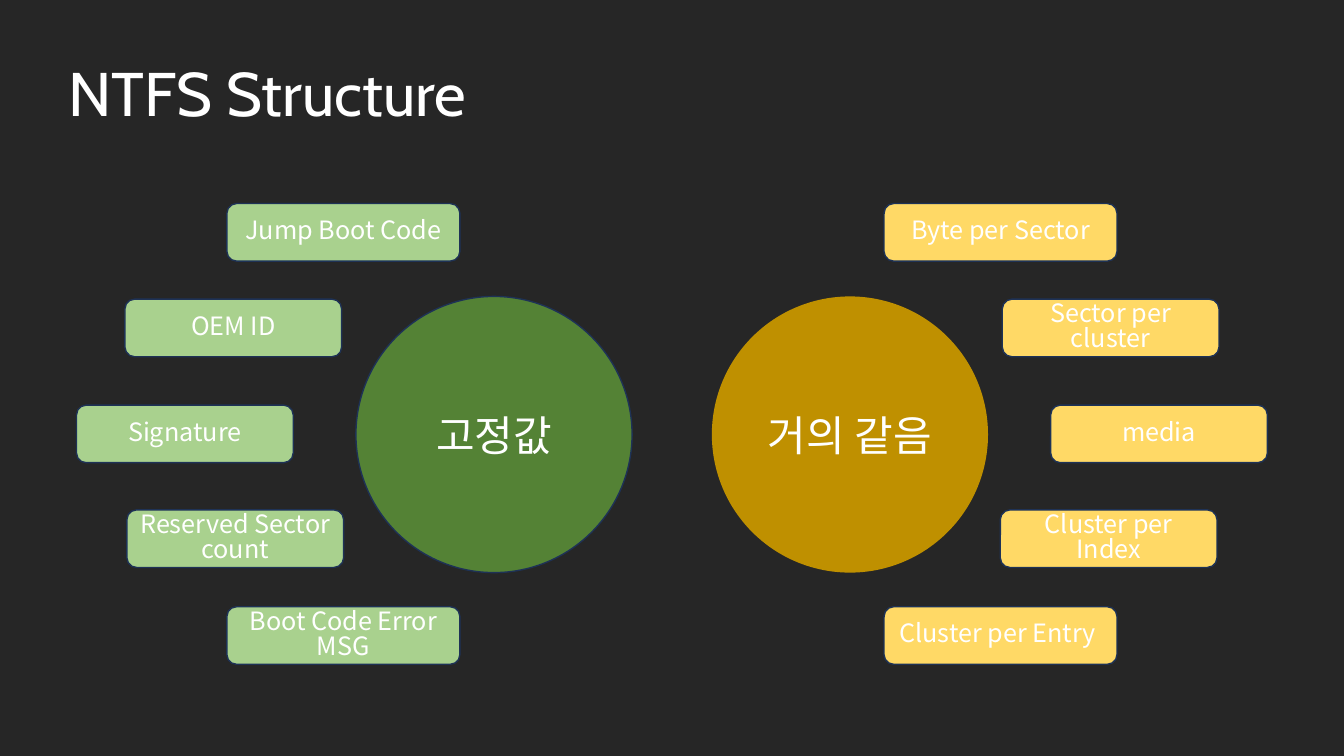
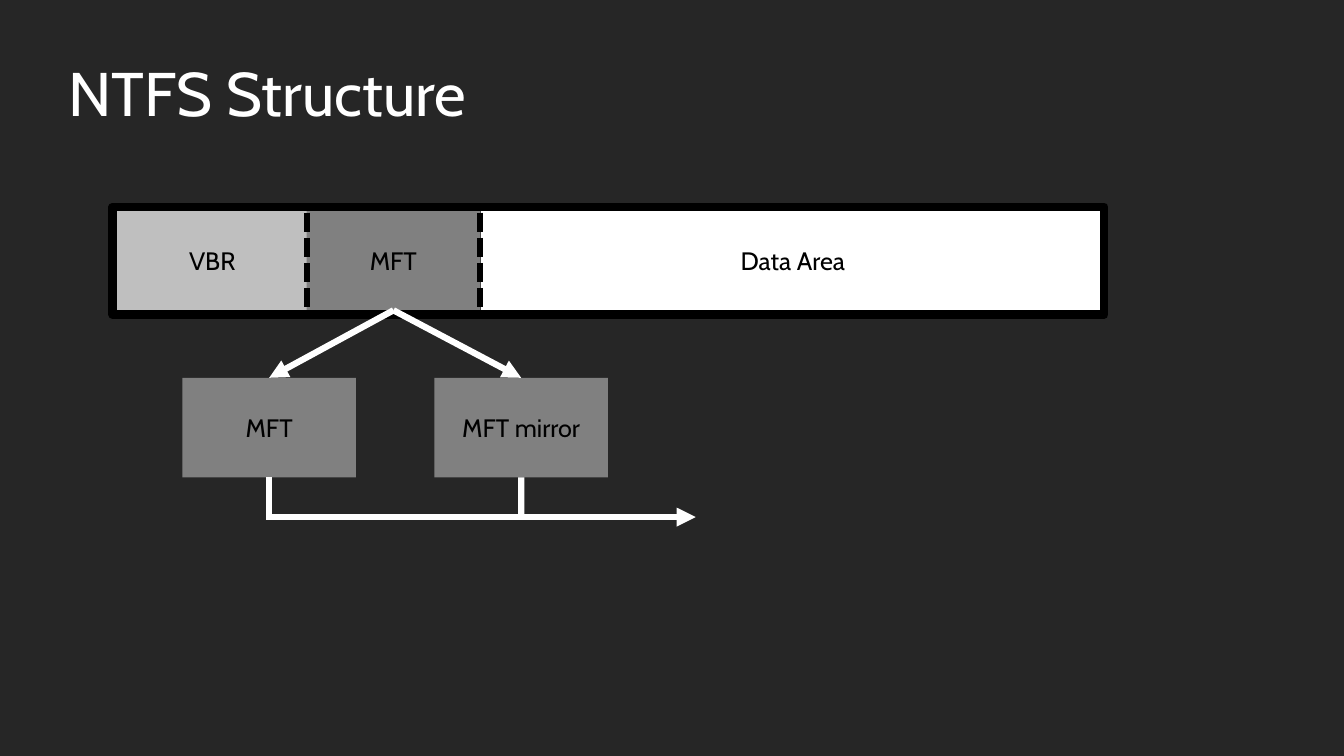
from lxml import etree
from pptx import Presentation
from pptx import util as u
from pptx.dml.color import RGBColor
from pptx.enum import dml, shapes, text
from pptx.oxml import ns

WIDTH, HEIGHT = 33.87, 19.05
SANS, KOREAN = "Cabin", "Noto Sans CJK KR"
WHITE, BLACK, DARK = "FFFFFF", "000000", "262626"
NAVY, LIGHT_GRAY, GRAY = "1E3256", "BFBFBF", "808080"


def color(value):
    return RGBColor.from_string(value)


def add_xml(parent, tag, **attributes):
    return etree.SubElement(parent, ns.qn(tag), attributes)


def write(frame, content, font=SANS, size=18, fill=WHITE,
          align=text.PP_ALIGN.CENTER, spacing=None):
    frame.word_wrap = True
    frame.vertical_anchor = text.MSO_ANCHOR.MIDDLE
    para = frame.paragraphs[0]
    para.alignment = align
    para.line_spacing = spacing
    span = para.add_run()
    span.text = content
    span.font.name = font
    span.font.size = u.Pt(size)
    span.font.color.rgb = color(fill)
    add_xml(span.font._element, "a:ea", typeface=font)


class Deck:
    """Holds the shared style and the slide being drawn."""

    def __init__(self):
        self.deck = Presentation()
        self.deck.slide_width = u.Cm(WIDTH)
        self.deck.slide_height = u.Cm(HEIGHT)
        background = self.deck.slide_master.background.fill
        background.solid()
        background.fore_color.rgb = color(DARK)
        self.page = None

    def add_page(self, title):
        self.page = self.deck.slides.add_slide(self.deck.slide_layouts[5])
        box = self.page.shapes.title
        box.left, box.top = u.Cm(1.47), u.Cm(1.24)
        box.width, box.height = u.Cm(19.56), u.Cm(2.13)
        write(box.text_frame, title, size=44, align=text.PP_ALIGN.LEFT)
        box.text_frame.auto_size = text.MSO_AUTO_SIZE.SHAPE_TO_FIT_TEXT

    def add_box(self, left, top, width, height, kind="RECTANGLE",
                fill=None, line=None, weight=1, content=None, **style):
        box = self.page.shapes.add_shape(
            shapes.MSO_SHAPE[kind], u.Cm(left), u.Cm(top), u.Cm(width), u.Cm(height))
        box.shadow.inherit = False
        if fill:
            box.fill.solid()
            box.fill.fore_color.rgb = color(fill)
        else:
            box.fill.background()
        if line:
            box.line.color.rgb = color(line)
            box.line.width = u.Pt(weight)
        else:
            box.line.fill.background()
        if content:
            write(box.text_frame, content, **style)
        return box

    def add_line(self, start=(0, 0), end=(0, 0), source=None, target=None,
                 kind="STRAIGHT", stroke=WHITE, dashed=False, arrow=False):
        line = self.page.shapes.add_connector(
            shapes.MSO_CONNECTOR[kind], *(u.Cm(value) for value in (*start, *end)))
        if source:
            line.begin_connect(source, 2)
        if target:
            line.end_connect(target, 0)
        line.line.color.rgb = color(stroke)
        line.line.width = u.Pt(4.5)
        if dashed:
            line.line.dash_style = dml.MSO_LINE.SQUARE_DOT
        outline = line.line._get_or_add_ln()
        add_xml(outline, "a:miter", lim="800000")
        if arrow:
            add_xml(outline, "a:tailEnd", type="triangle")
        add_xml(line._element.spPr, "a:effectLst")
        return line

    def add_corner(self, source, end):
        """Draw an arrow that drops from a box and then turns right."""
        line = self.add_line(end=end, source=source, kind="ELBOW", arrow=True)
        left, top = source.left + source.width // 2, source.top + source.height
        run, drop = u.Cm(end[0]) - left, u.Cm(end[1]) - top
        line.left, line.top = left + (run - drop) // 2, top + (drop - run) // 2
        line.width, line.height = drop, run
        properties = line._element.spPr
        properties.find(ns.qn("a:prstGeom")).set("prst", "bentConnector2")
        frame = properties.find(ns.qn("a:xfrm"))
        frame.set("rot", "16200000")
        frame.set("flipH", "1")


def draw_fields(deck):
    deck.add_page("NTFS Structure")
    places = [(5.72, 5.13, 5.87), (3.15, 7.54, 5.46), (1.93, 10.21, 5.46),
              (3.2, 12.85, 5.46), (5.72, 15.29, 5.87)]
    sides = [
        ("고정값", "548235", NAVY, "A9D18E", False,
         ["Jump Boot Code", "OEM ID", "Signature", "Reserved Sector count",
          "Boot Code Error MSG"]),
        ("거의 같음", "BF9000", None, "FFD966", True,
         ["Byte per Sector", "Sector per cluster", "media", "Cluster per Index",
          "Cluster per Entry "]),
    ]
    for heading, dark, edge, light, mirrored, names in sides:
        def place(left, width):
            return WIDTH - left - width if mirrored else left

        deck.add_box(place(8.97, 6.96), 7.47, 6.96, 6.96, "OVAL", dark, edge,
                     content=heading, font=KOREAN, size=30)
        for name, (left, top, width) in zip(names, places):
            deck.add_box(place(left, width), top, width, 1.45, "ROUNDED_RECTANGLE",
                         light, NAVY, content=name, font=KOREAN, spacing=0.82)


def draw_layout(deck):
    deck.add_page("NTFS Structure")
    top, height, width = 5.31, 2.51, 4.37

    def add_area(left, top, width, fill, name):
        return deck.add_box(left, top, width, height, fill=fill, content=name, fill_text=BLACK)

    def add_area(left, top, width, fill, name):
        box = deck.add_box(left, top, width, height, fill=fill)
        write(box.text_frame, name, fill=BLACK)
        return box

    add_area(2.95, top, 4.8, LIGHT_GRAY, "VBR")
    table = add_area(7.73, top, width, GRAY, "MFT")
    add_area(12.12, top, 15.72, WHITE, "Data Area")
    deck.add_box(2.84, 5.21, 24.99, 2.72, line=BLACK, weight=6)
    for left in (7.73, 12.1):
        deck.add_line((left, 5.36), (left, 7.98), stroke=BLACK, dashed=True)

    primary = add_area(4.6, 9.52, width, GRAY, "MFT")
    mirror = add_area(10.95, 9.52, width, GRAY, "MFT mirror")
    for part in (primary, mirror):
        deck.add_line(source=table, target=part, arrow=True)
    rail = 13.03
    deck.add_corner(primary, (17.53, rail))
    deck.add_line(end=(10.95 + width / 2, rail), source=mirror)


def main():
    deck = Deck()
    draw_fields(deck)
    draw_layout(deck)
    deck.deck.save("out.pptx")


if __name__ == "__main__":
    main()
